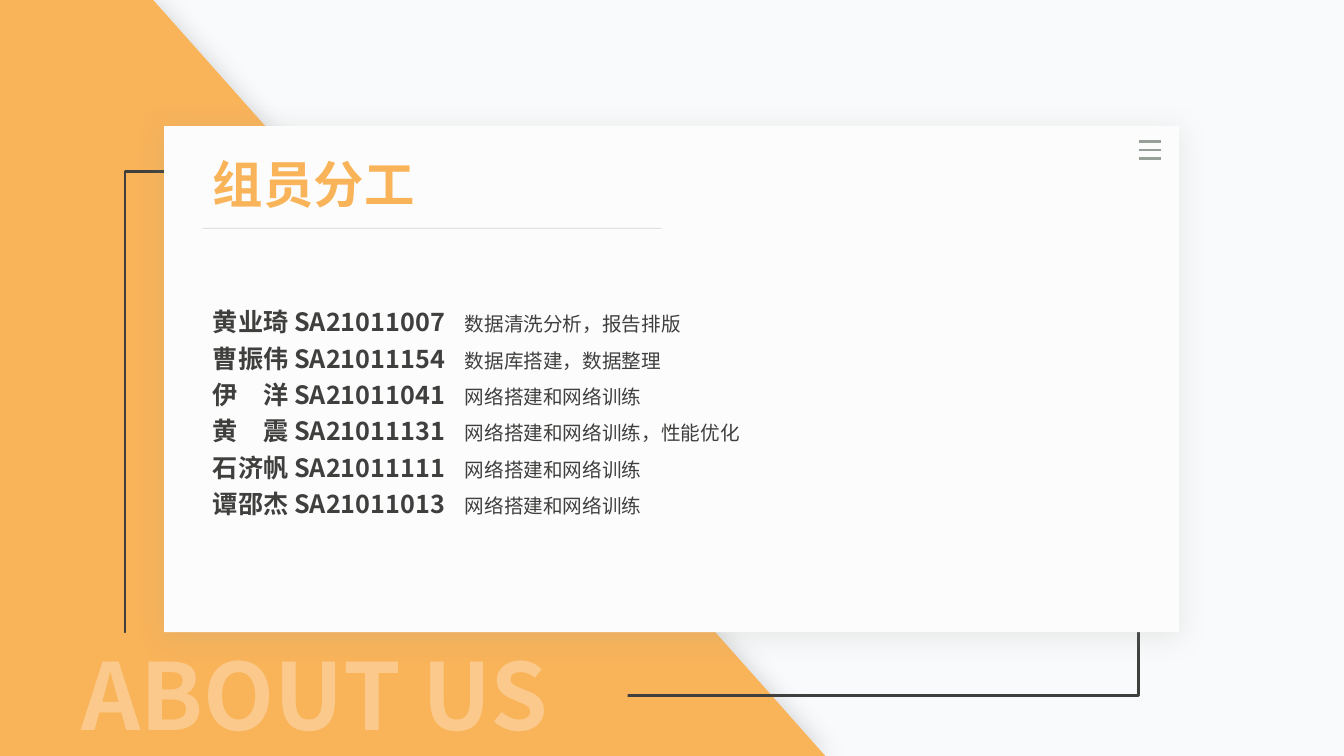
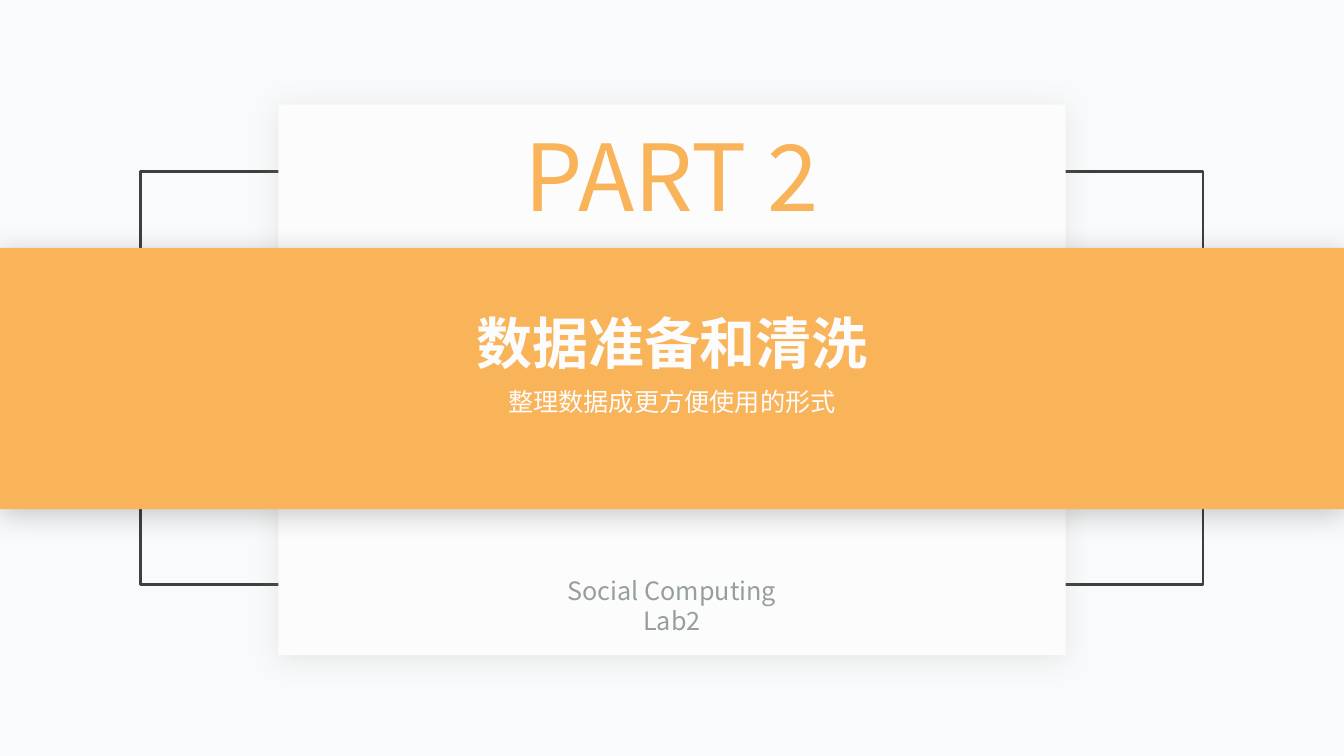
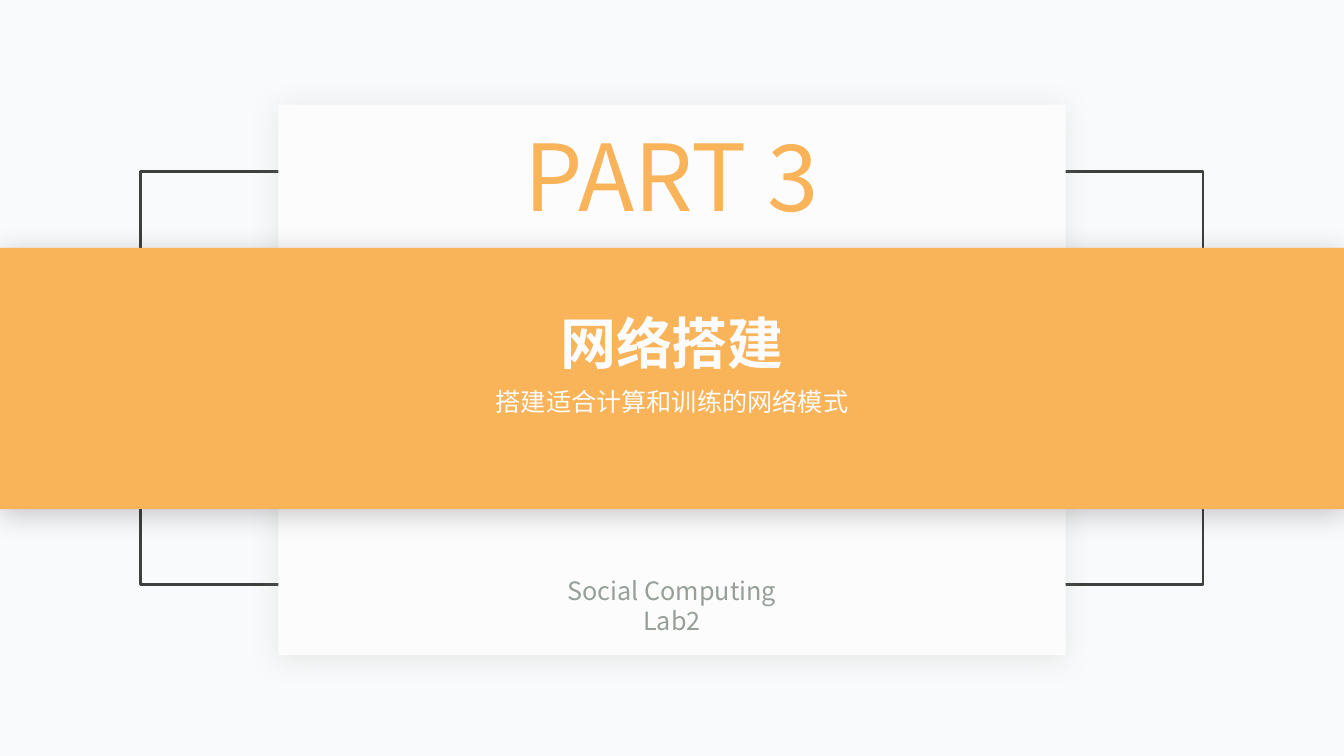
from dataclasses import dataclass

from lxml.etree import SubElement
from pptx import Presentation
from pptx.dml.color import RGBColor
from pptx.enum.shapes import MSO_CONNECTOR, MSO_SHAPE
from pptx.enum.text import MSO_ANCHOR, MSO_AUTO_SIZE, PP_ALIGN
from pptx.oxml.ns import qn
from pptx.util import Cm, Pt

RECTANGLE = MSO_SHAPE.RECTANGLE
ROUNDED = MSO_SHAPE.ROUNDED_RECTANGLE
STRAIGHT = MSO_CONNECTOR.STRAIGHT
TOP = MSO_ANCHOR.TOP
NO_AUTOFIT = MSO_AUTO_SIZE.NONE
LEFT = PP_ALIGN.LEFT
CENTER = PP_ALIGN.CENTER


@dataclass(frozen=True)
class Theme:
    font: str = "Noto Sans CJK SC"
    page: str = "F9FAFB"
    card: str = "FCFCFD"
    accent: str = "F9B359"
    ink: str = "3F403E"
    muted: str = "969F98"
    white: str = "FFFFFF"
    black: str = "000000"
    display: int = 66
    section: int = 40
    heading: int = 36
    text: int = 18
    small: int = 14
    stroke: float = 2
    hairline: float = 0.5


@dataclass(frozen=True)
class Box:
    left: float
    top: float
    width: float
    height: float

    def inside(self, dx, dy, width, height):
        return Box(self.left + dx, self.top + dy, width, height)

    def centered(self, dy, width, height):
        return self.inside((self.width - width) / 2, dy, width, height)

    def emu(self):
        return Cm(self.left), Cm(self.top), Cm(self.width), Cm(self.height)


THEME = Theme()
PAGE = Box(0, 0, 33.87, 19.05)

MEMBERS = [
    ("黄业琦", "SA21011007", "数据清洗分析，报告排版"),
    ("曹振伟", "SA21011154", "数据库搭建，数据整理"),
    ("伊\t洋", "SA21011041", "网络搭建和网络训练"),
    ("黄\t震", "SA21011131", "网络搭建和网络训练，性能优化"),
    ("石济帆", "SA21011111", "网络搭建和网络训练"),
    ("谭邵杰", "SA21011013", "网络搭建和网络训练"),
]
SECTIONS = [
    ("PART 2", "数据准备和清洗", "整理数据成更方便使用的形式"),
    ("PART 3", "网络搭建", "搭建适合计算和训练的网络模式"),
]


def rgb(color):
    return RGBColor.from_string(color)


def set_opacity(element, percent):
    for color in element.iter(qn("a:srgbClr")):
        SubElement(color, qn("a:alpha"), val=str(percent * 1000))


def add_shadow(shape, color):
    effects = shape.element.spPr.find(qn("a:effectLst"))
    shadow = SubElement(effects, qn("a:outerShdw"), blurRad=str(Pt(20)),
                        dist=str(Pt(3)), dir="5400000", algn="t", rotWithShape="0")
    SubElement(shadow, qn("a:srgbClr"), val=color)
    set_opacity(shadow, 20)


def paint(shape, fill=None, line=None, shadow=None):
    if fill:
        shape.fill.solid()
        shape.fill.fore_color.rgb = rgb(fill)
    else:
        shape.fill.background()
    if line:
        shape.line.color.rgb = rgb(line)
        shape.line.width = Pt(THEME.stroke)
    else:
        shape.line.fill.background()
    shape.shadow.inherit = False
    if shadow:
        add_shadow(shape, shadow)
    return shape


def add_panel(slide, box, preset=RECTANGLE, **look):
    return paint(slide.shapes.add_shape(preset, *box.emu()), **look)


def add_rule(shapes, left, top, width, weight):
    rule = shapes.add_connector(STRAIGHT, Cm(left), Cm(top), Cm(left + width), Cm(top))
    rule.line.color.rgb = rgb(THEME.muted)
    rule.line.width = Pt(weight)
    SubElement(rule.element.spPr, qn("a:effectLst"))
    return rule


def add_run(paragraph, text, size, color, bold=False):
    run = paragraph.add_run()
    run.text = text
    run.font.size = Pt(size)
    run.font.bold = bold
    run.font.color.rgb = rgb(color)
    run.font.name = THEME.font
    SubElement(run.font._element, qn("a:ea"), typeface=THEME.font)
    return run


def open_frame(shape):
    frame = shape.text_frame
    frame.word_wrap = True
    frame.auto_size = NO_AUTOFIT
    frame.vertical_anchor = TOP
    return frame


def plain_paragraph(paragraph, align, spacing=1):
    paragraph.alignment = align
    paragraph.line_spacing = spacing
    paragraph.space_before = Pt(0)
    properties = paragraph._p.get_or_add_pPr()
    properties.set("marL", "0")
    properties.set("indent", "0")
    SubElement(properties, qn("a:buNone"))
    return paragraph


def write_line(shape, text, size, color, bold=False, align=CENTER):
    paragraph = plain_paragraph(open_frame(shape).paragraphs[0], align)
    return add_run(paragraph, text, size, color, bold)


def add_label(slide, box, text, size, color):
    write_line(slide.shapes.add_textbox(*box.emu()), text, size, color)


def place(placeholder, box):
    placeholder.left, placeholder.top, placeholder.width, placeholder.height = box.emu()
    element = placeholder.element
    element.getparent().append(element)
    return placeholder


def add_backdrop(slide, box):
    outline = slide.shapes.build_freeform(Cm(box.left), Cm(box.top), scale=1.0)
    outline.add_line_segments([
        (Cm(box.left + 3.86), Cm(box.top)),
        (Cm(box.left + box.width), Cm(box.top + box.height)),
        (Cm(box.left), Cm(box.top + box.height)),
    ])
    paint(outline.convert_to_shape(), fill=THEME.accent, shadow=THEME.black)


def add_watchword(slide, box):
    panel = add_panel(slide, box, fill=THEME.accent)
    run = write_line(panel, "ABOUT US", THEME.display, THEME.white, True, LEFT)
    set_opacity(run.font._element, 30)


def add_menu_icon(slide, box):
    bars = slide.shapes.add_group_shape().shapes
    for row in range(3):
        add_rule(bars, box.left, box.top + row * box.height / 2, box.width, THEME.stroke)


def fill_members(body):
    frame = open_frame(body)
    for index, (name, number, task) in enumerate(MEMBERS):
        paragraph = frame.add_paragraph() if index else frame.paragraphs[0]
        plain_paragraph(paragraph, LEFT, 1.2)
        stops = [0.92, 6.2] if "\t" in name else [6.56]
        tabs = SubElement(paragraph._p.pPr, qn("a:tabLst"))
        for stop in stops:
            SubElement(tabs, qn("a:tab"), pos=str(Cm(stop)), algn="l")
        add_run(paragraph, f"{name} {number}\t", THEME.text, THEME.ink, True)
        add_run(paragraph, task, THEME.small, THEME.ink)


def add_team_card(slide, box):
    margin, rule_width = 0.97, 11.56
    add_panel(slide, box, fill=THEME.card, shadow=THEME.muted)
    title = place(slide.shapes.title, box.inside(margin, 0.56, rule_width, 1.8))
    write_line(title, "组员分工", THEME.heading, THEME.accent, True, LEFT)
    fill_members(place(slide.placeholders[1], box.inside(margin, 4.27, 21.97, 5.79)))
    rule = add_rule(slide.shapes, box.left + margin, box.top + 2.57, rule_width, THEME.hairline)
    set_opacity(rule.element.spPr, 40)
    add_menu_icon(slide, box.inside(box.width - 1.02, 0.38, 0.56, 0.44))


def add_section_card(slide, box, part):
    add_panel(slide, box, fill=THEME.card, shadow=THEME.muted)
    add_label(slide, box.centered(0.25, 12, 3.07), part, THEME.display, THEME.accent)
    add_label(slide, box.centered(11.73, 7, 1.8), "Social Computing Lab2",
              THEME.text, THEME.muted)


def add_section_band(slide, box, heading, summary):
    band = add_panel(slide, box, ROUNDED, fill=THEME.accent, shadow=THEME.black)
    band.adjustments[0] = 0
    title = place(slide.shapes.title, box.centered(1.4, 16, 1.96))
    write_line(title, heading, THEME.section, THEME.card, True)
    body = place(slide.placeholders[1], box.centered(3.35, 16, 1.02))
    write_line(body, summary, THEME.text, THEME.card)


def build_team_slide(slide):
    add_backdrop(slide, Box(0, 0, 20.8, PAGE.height))
    add_panel(slide, Box(3.15, 4.32, 25.55, 13.21), line=THEME.ink)
    add_watchword(slide, Box(1.8, 15.95, 14.02, 3.07))
    add_team_card(slide, Box(4.14, 3.18, 25.58, 12.75))


def build_section_slide(slide, part, heading, summary):
    add_panel(slide, PAGE.centered(4.32, 26.77, 10.41), line=THEME.ink)
    add_section_card(slide, PAGE.centered(2.64, 19.84, 13.87), part)
    add_section_band(slide, PAGE.inside(0, 6.25, PAGE.width, 6.58), heading, summary)


def main():
    deck = Presentation()
    deck.slide_width, deck.slide_height = Cm(PAGE.width), Cm(PAGE.height)
    background = deck.slide_master.background.fill
    background.solid()
    background.fore_color.rgb = rgb(THEME.page)
    layout = deck.slide_layouts[1]
    build_team_slide(deck.slides.add_slide(layout))
    for section in SECTIONS:
        build_section_slide(deck.slides.add_slide(layout), *section)
    deck.save("out.pptx")


if __name__ == "__main__":
    main()
